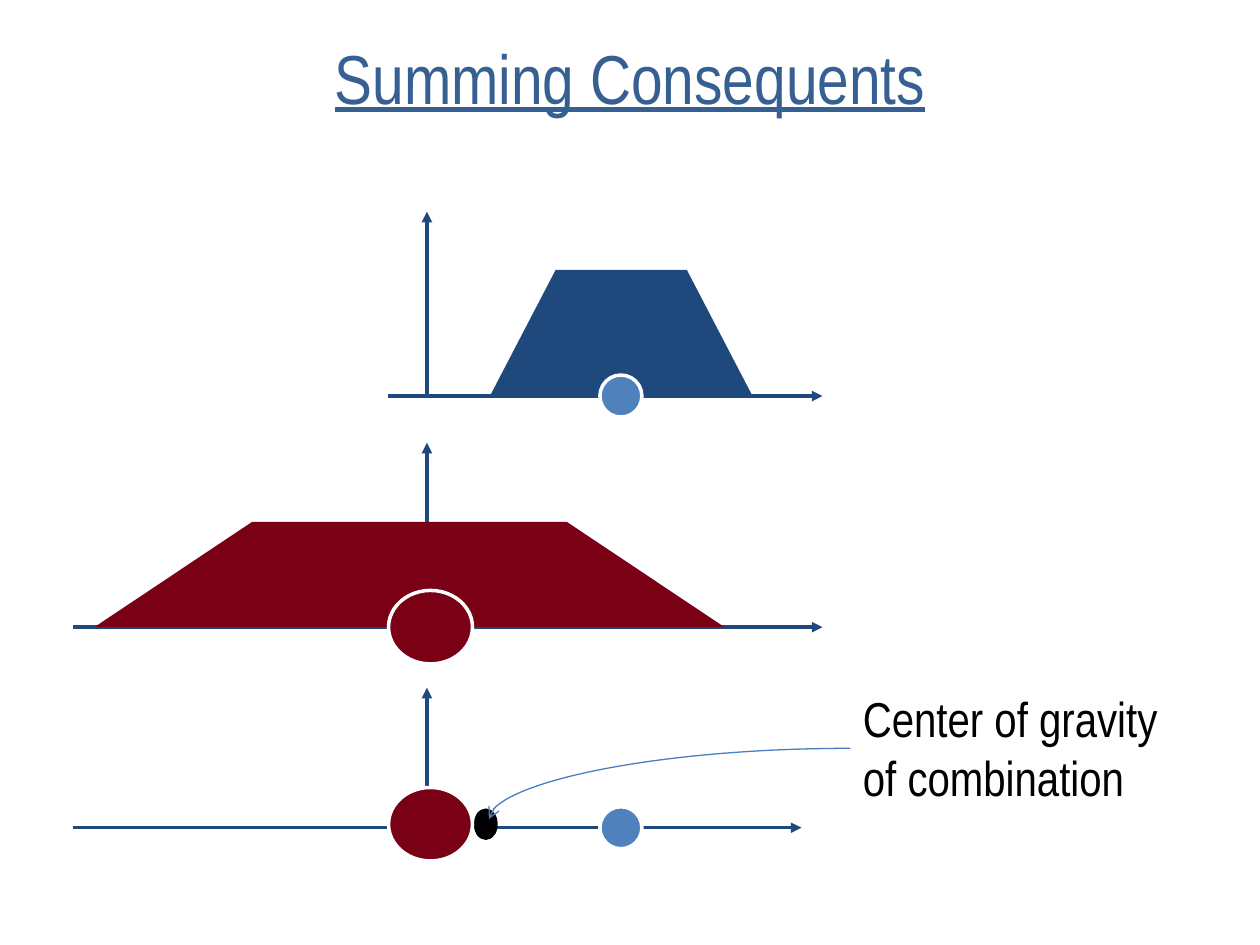
from lxml import etree
from pptx import Presentation
from pptx.dml.color import RGBColor
from pptx.enum.shapes import MSO_CONNECTOR, MSO_SHAPE
from pptx.enum.text import MSO_ANCHOR, MSO_AUTO_SIZE, PP_ALIGN
from pptx.oxml.ns import qn
from pptx.util import Pt

STRAIGHT, CURVE = MSO_CONNECTOR.STRAIGHT, MSO_CONNECTOR.CURVE
ELLIPSE = MSO_SHAPE.OVAL
MIDDLE, CENTER = MSO_ANCHOR.MIDDLE, PP_ALIGN.CENTER
GROW = MSO_AUTO_SIZE.SHAPE_TO_FIT_TEXT

NAVY, BLUE, RED = "1F497D", "4F81BD", "790015"
CURVE_BLUE, TITLE_BLUE = "4B7EBC", "376092"
BLACK, WHITE = "000000", "FFFFFF"


def color(value):
    return RGBColor.from_string(value)


class SlideBuilder:
    font = "Arial Narrow"
    line_width = 2

    def __init__(self, slide):
        self.slide = slide

    def place(self, shape, left, top, width, height):
        shape.left, shape.top = Pt(left), Pt(top)
        shape.width, shape.height = Pt(width), Pt(height)

    def add_run(self, paragraph, text, size, text_color, underline=None):
        run = paragraph.add_run()
        run.text = text
        run.font.name = self.font
        run.font.size = Pt(size)
        run.font.underline = underline
        run.font.color.rgb = color(text_color)

    def title(self, text, *box):
        shape = self.slide.shapes.title
        self.place(shape, *box)
        shape.text_frame.vertical_anchor = MIDDLE
        paragraph = shape.text_frame.paragraphs[0]
        paragraph.alignment = CENTER
        self.add_run(paragraph, text, 39.6, TITLE_BLUE, underline=True)

    def label(self, text, *box):
        shape = self.slide.shapes.add_textbox(*map(Pt, box))
        frame = shape.text_frame
        frame.word_wrap = True
        frame.auto_size = GROW
        self.add_run(frame.paragraphs[0], text, 28, BLACK)

    def arrow(self, start, end, line_color=NAVY, width=line_width,
              head="triangle", kind=STRAIGHT):
        connector = self.slide.shapes.add_connector(
            kind, *map(Pt, (*start, *end)))
        connector.line.color.rgb = color(line_color)
        connector.line.width = Pt(width)
        line = connector.line._get_or_add_ln()
        etree.SubElement(line, qn("a:tailEnd"), type=head)
        properties = connector._element.spPr
        etree.SubElement(properties, qn("a:effectLst"))
        if kind == CURVE:
            # A single quarter bend
            properties.find(qn("a:prstGeom")).set("prst", "curvedConnector2")

    def trapezoid(self, points, fill):
        corners = [(Pt(x), Pt(y)) for x, y in points]
        builder = self.slide.shapes.build_freeform(*corners[0])
        builder.add_line_segments(corners[1:], close=True)
        shape = builder.convert_to_shape()
        shape.shadow.inherit = False
        shape.fill.solid()
        shape.fill.fore_color.rgb = color(fill)
        shape.line.fill.background()

    def dot(self, center_x, center_y, width, height, fill,
            outline=WHITE, outline_width=line_width):
        shape = self.slide.shapes.add_shape(
            ELLIPSE, Pt(center_x - width / 2), Pt(center_y - height / 2),
            Pt(width), Pt(height))
        shape.shadow.inherit = False
        shape.fill.solid()
        shape.fill.fore_color.rgb = color(fill)
        shape.line.color.rgb = color(outline)
        shape.line.width = Pt(outline_width)


def main():
    presentation = Presentation()
    presentation.slide_width, presentation.slide_height = Pt(720), Pt(540)
    slide = presentation.slides.add_slide(presentation.slide_layouts[5])
    builder = SlideBuilder(slide)

    builder.title("Summing Consequents", 36, 21.6, 648, 44.6)

    # Axes of the three graphs: left, right, top, baseline
    origin_x = 244
    base_1, base_2, base_3 = 226.3, 358.4, 473
    for left, right, top, base in ((222, 470, 121, base_1),
                                   (42, 470, 253, base_2),
                                   (42, 458, 393, base_3)):
        builder.arrow((origin_x, base), (origin_x, top))
        builder.arrow((left, base), (right, base))

    # Combined center of gravity and its label
    builder.dot(277.6, 471, 3.6, 8, BLACK, BLACK, 10)
    builder.label("Center of gravity of combination", 486, 390, 200, 75)

    # Consequents
    for xs, top, base, fill in (((280, 317.5, 392.5, 430), 154.3, base_1, NAVY),
                                ((54, 144, 324, 414), 298.3, base_2, RED)):
        builder.trapezoid(list(zip(xs, (base, top, top, base))), fill)

    builder.arrow((486, 427.6), (279.4, 468), CURVE_BLUE, 0.75, "arrow", CURVE)

    # Centers of gravity of each consequent, repeated on the combined axis
    for blue_y, red_y in ((base_1, base_2), (base_3, 471)):
        builder.dot(354.8, blue_y, 24, 24, BLUE)
        builder.dot(246, red_y, 48, 42, RED)

    presentation.save("out.pptx")


if __name__ == "__main__":
    main()
